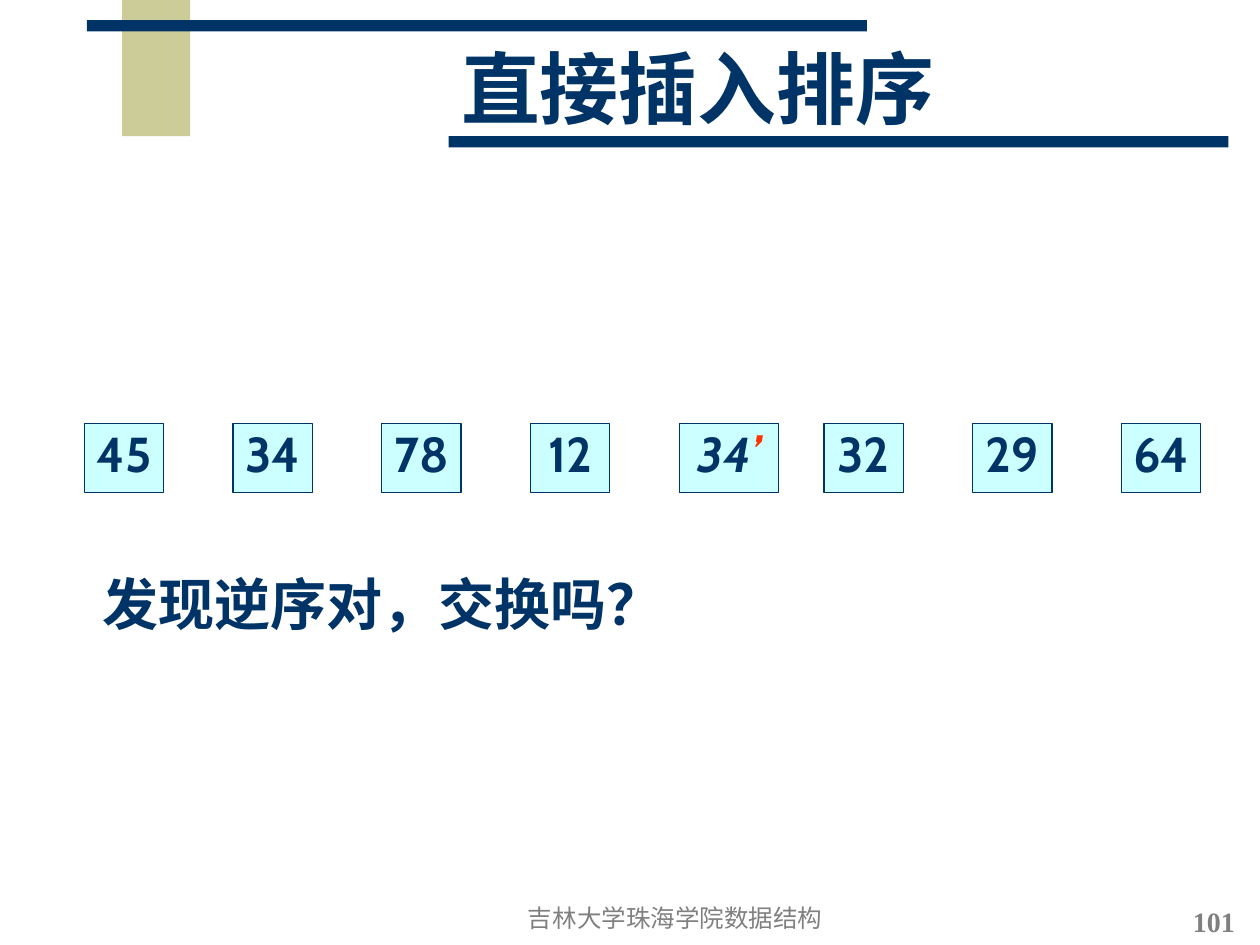
from pptx import Presentation, util as u
from pptx.dml.color import RGBColor
from pptx.enum import shapes, text

THEME = {
    "navy": "003366", "sand": "CCCC99", "cell": "CCFFFF",
    "gray": "808080", "red": "FF3300",
    "serif": "Times New Roman", "sans": "Cabin",
    "title": 45, "ask": 32, "key": 28, "page": 16, "foot": 14,
}

BARS = [
    ((0.97, 0, 0.54, 1.08), "sand"),
    ((0.69, 0.16, 6.19, 0.09), "navy"),
    ((3.56, 1.08, 6.19, 0.09), "navy"),
]
KEYS = ["45", "34", "78", "12", "34’", "32", "29", "64"]
LEFT, TOP, STEP = 0.67, 3.36, 1.18
WIDE, HIGH = 0.63, 0.55
MARKED = KEYS.index("34’")

LABELS = [
    ("直接插入排序", (1.5, 0.25, 8.07, 1),
     dict(size="title", bold=True, align="CENTER", anchor="MIDDLE", lead=0.85)),
    ("发现逆序对，交换吗？", (0.6, 4.47, 4.82, 0.64),
     dict(size="ask", bold=True, inset=(0.21, 0))),
    ("吉林大学珠海学院数据结构", (4.07, 6.95, 2.58, 0.5),
     dict(size="foot", color="gray", align="CENTER", anchor="BOTTOM")),
    ("101", (9.37, 7.13, 0.63, 0.37),
     dict(size="page", color="gray", bold=True)),
]


def tint(name):
    return RGBColor.from_string(THEME[name])


def write(shape, runs, size, font="serif", color="navy", bold=False,
          italic=False, align="LEFT", anchor="TOP", lead=None,
          inset=(0.1, 0.1), wrap=True):
    """Fill a shape with one paragraph; runs is a string or (string, colour) pairs."""
    frame = shape.text_frame
    frame.word_wrap = wrap
    frame.vertical_anchor = getattr(text.MSO_ANCHOR, anchor)
    frame.margin_left, frame.margin_right = map(u.Inches, inset)
    para = frame.paragraphs[0]
    para.alignment = getattr(text.PP_ALIGN, align)
    if lead:
        para.line_spacing = lead
    for words, hue in [(runs, color)] if isinstance(runs, str) else runs:
        run = para.add_run()
        run.text = words
        face = run.font
        face.name, face.size = THEME[font], u.Pt(THEME[size])
        face.bold, face.italic = bold, italic
        face.color.rgb = tint(hue)


def block(slide, box, fill, line=None):
    shape = slide.shapes.add_shape(shapes.MSO_SHAPE.RECTANGLE, *map(u.Inches, box))
    shape.shadow.inherit = False
    shape.fill.solid()
    shape.fill.fore_color.rgb = tint(fill)
    if line:
        shape.line.color.rgb = tint(line)
        shape.line.width = u.Pt(0.75)
    else:
        shape.line.fill.background()
    return shape


def main():
    deck = Presentation()
    deck.slide_width, deck.slide_height = u.Inches(10), u.Inches(7.5)
    slide = deck.slides.add_slide(deck.slide_layouts[6])

    for box, fill in BARS:
        block(slide, box, fill)

    for i, key in enumerate(KEYS):
        mark = i == MARKED
        left = LEFT + i * STEP - (0.03 if i > MARKED else 0)
        cell = block(slide, (left, TOP, 0.79 if mark else WIDE, HIGH), "cell", "navy")
        runs = [(key[:-1], "navy"), (key[-1], "red")] if mark else key
        write(cell, runs, "key", font="sans", bold=True, italic=mark,
              align="CENTER", anchor="MIDDLE", lead=0.8, wrap=False)

    for words, box, style in LABELS:
        write(slide.shapes.add_textbox(*map(u.Inches, box)), words, **style)

    deck.save("out.pptx")


if __name__ == "__main__":
    main()
